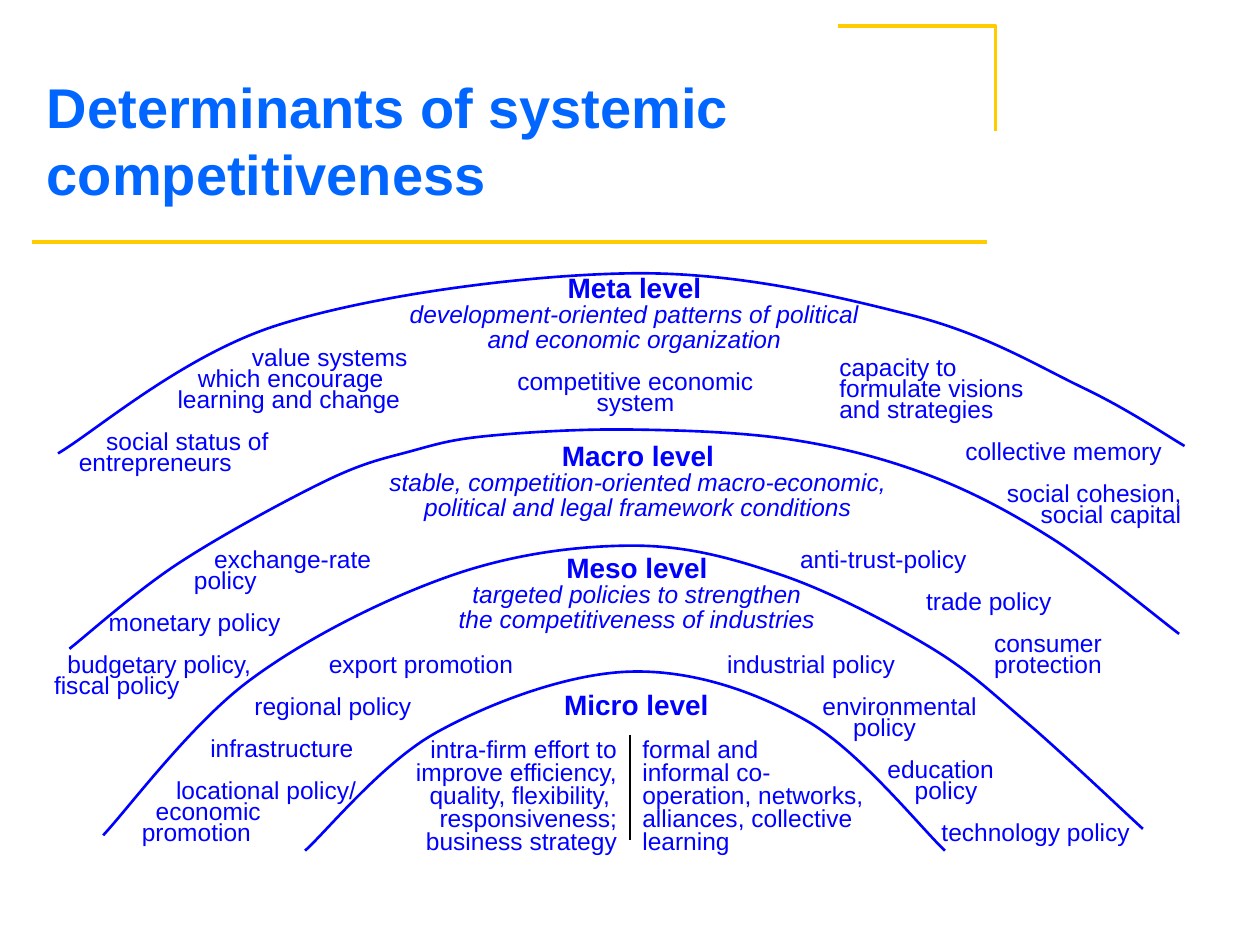
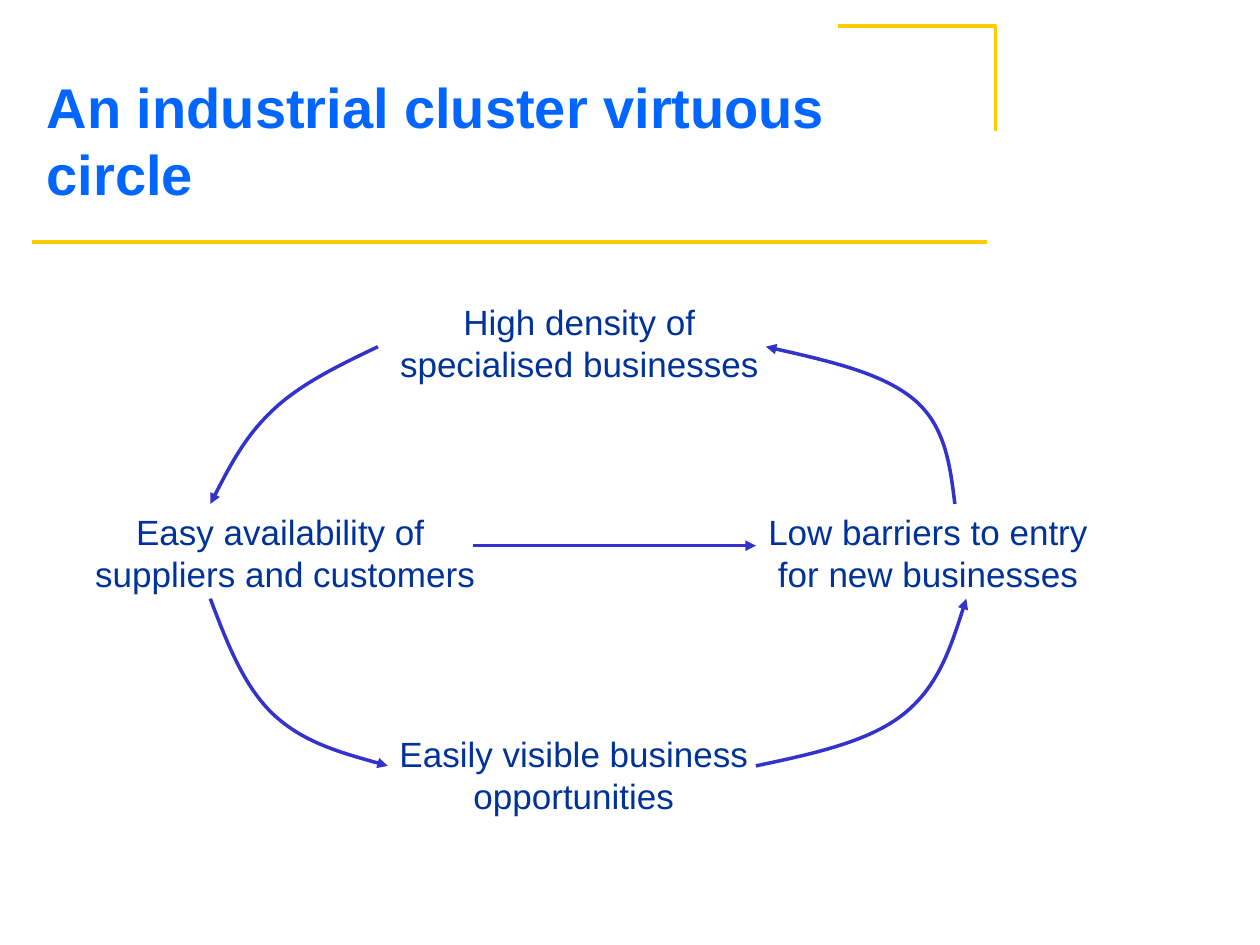
"""Build two slides on systemic competitiveness and industrial clusters."""
from lxml import etree
from pptx import Presentation
from pptx.dml.color import RGBColor
from pptx.enum.shapes import MSO_CONNECTOR
from pptx.enum.text import MSO_ANCHOR, MSO_AUTO_SIZE, PP_ALIGN
from pptx.oxml.ns import qn
from pptx.util import Cm, Pt

LEFT, CENTER, RIGHT = PP_ALIGN.LEFT, PP_ALIGN.CENTER, PP_ALIGN.RIGHT
MIDDLE = MSO_ANCHOR.MIDDLE
NO_FIT = MSO_AUTO_SIZE.NONE
STRAIGHT = MSO_CONNECTOR.STRAIGHT

FONT = "Arial"
TITLE_BLUE = RGBColor(0x00, 0x66, 0xFF)
GOLD = RGBColor(0xFF, 0xCC, 0x00)
BLUE = RGBColor(0x00, 0x00, 0xFF)
NAVY = RGBColor(0x00, 0x33, 0x99)
INDIGO = RGBColor(0x33, 0x33, 0xCC)
BLACK = RGBColor(0x00, 0x00, 0x00)

LEVELS = [
    ("Meta level", ["development-oriented patterns of political",
                    "and economic organization"], 12.79, 5.64,
     [(1.17, 9.14), (5.61, 6.55), (12.7, 5.51), (18.36, 6.35),
      (21.84, 7.82), (23.88, 8.99)]),
    ("Macro level", ["stable, competition-oriented macro-economic,",
                     "political and legal framework conditions"], 12.86, 9.02,
     [(1.4, 13.08), (3.61, 11.35), (6.6, 9.68), (8.31, 9.09), (9.83, 8.79),
      (12.65, 8.66), (15.93, 8.86), (18.72, 9.58), (21.23, 10.87),
      (23.77, 12.78)]),
    ("Meso level", ["targeted policies to strengthen",
                    "the competitiveness of industries"], 12.84, 11.28,
     [(2.08, 16.84), (5, 13.74), (9.02, 11.63), (12.7, 11), (15.72, 11.58),
      (18.72, 13.03), (20.68, 14.55), (23.04, 16.71)]),
    ("Micro level", [], 12.83, 14.05,
     [(6.15, 17.15), (8.81, 14.76), (12.7, 13.54), (16.26, 14.53),
      (19.05, 17.15)]),
]

# Each factor is a group of (indent, line) pairs; groups stand one line apart.
FACTORS = [
    (1.04, 7.06, [[(4.04, "value systems"), (2.95, "which encourage"),
                   (2.54, "learning and change")],
                  [(1.1, "social status of"), (0.55, "entrepreneurs")]]),
    (16.92, 7.26, [[(0, "capacity to"), (0, "formulate visions"),
                    (0, "and strategies")],
                   [(2.54, "collective memory")],
                   [(3.38, "social cohesion,"), (4.06, "social capital")]]),
    (1.09, 11.13, [[(3.23, "exchange-rate"), (2.82, "policy")],
                   [(1.1, "monetary policy")],
                   [(0.27, "budgetary policy,"), (0, "fiscal policy")]]),
    (16.13, 11.13, [[(0, "anti-trust-policy")],
                    [(2.54, "trade policy")],
                    [(3.91, "consumer"), (3.91, "protection")]]),
    (2.59, 13.26, [[(4.04, "export promotion")],
                   [(2.54, "regional policy")],
                   [(1.65, "infrastructure")],
                   [(0.96, "locational policy/"), (0.55, "economic"),
                    (0.27, "promotion")]]),
    (14.66, 13.26, [[(0, "industrial policy")],
                    [(1.92, "environmental"), (2.54, "policy")],
                    [(3.23, "education"), (3.78, "policy")],
                    [(4.32, "technology policy")]]),
]

FIRM_EFFORT = ["intra-firm effort to", "improve efficiency,",
               "quality, flexibility, ", "responsiveness;",
               "business strategy"]
COOPERATION = ["formal and", "informal co-", "operation, networks,",
               "alliances, collective", "learning"]

CLUSTER_STEPS = [
    (11.68, 6.05, ["High density of", "specialised businesses"]),
    (5.75, 10.29, ["Easy availability of ", "suppliers and customers"]),
    (11.57, 14.76, ["Easily visible business", "opportunities"]),
    (18.71, 10.29, ["Low barriers to entry", "for new businesses"]),
]
CLUSTER_ARROWS = [
    [(7.62, 6.99), (5.51, 8.26), (4.24, 10.16)],
    [(4.24, 12.07), (5.51, 14.4), (7.82, 15.44)],
    [(15.24, 15.44), (18.21, 14.4), (19.48, 12.07)],
    [(19.25, 10.16), (18.42, 8.05), (15.44, 6.99)],
]


def format_text(para, text, size=14, color=BLUE, bold=False, italic=False,
                align=LEFT, spacing=None, indent=0, before=0):
    """Write one formatted line of text into a paragraph."""
    para.alignment = align
    para.space_before = Pt(before)
    if spacing:
        para.line_spacing = Pt(spacing)
    if indent:
        para._p.get_or_add_pPr().set("marL", str(Cm(indent)))
    span = para.add_run()
    span.text = text
    font = span.font
    font.name, font.size, font.color.rgb = FONT, Pt(size), color
    font.bold, font.italic = bold, italic


def smooth_handles(knots, relaxed):
    """Return the Bezier points of a smooth curve through the knots."""
    ends = [knots[0], *knots, knots[-1]]
    pulls = [((after[0] - prior[0]) / 6, (after[1] - prior[1]) / 6)
             for prior, after in zip(ends, ends[2:])]
    points = []
    for index, (start, stop) in enumerate(zip(knots, knots[1:])):
        first = (start[0] + pulls[index][0], start[1] + pulls[index][1])
        second = (stop[0] - pulls[index + 1][0], stop[1] - pulls[index + 1][1])
        if relaxed and index == 0:
            first = midpoint(start, second)
        if relaxed and index == len(knots) - 2:
            second = midpoint(first, stop)
        points += [first, second, stop]
    return points


def midpoint(start, stop):
    """Return the point halfway between two points."""
    return (start[0] + stop[0]) / 2, (start[1] + stop[1]) / 2


class Builder:
    """Hold the deck style and the current page, and draw elements on it."""

    def __init__(self):
        self.deck = Presentation()
        self.deck.slide_width, self.deck.slide_height = Cm(25.4), Cm(19.05)
        self.page = None

    def new_page(self, title):
        """Start a page with its title, gold rule and gold corner."""
        self.page = self.deck.slides.add_slide(self.deck.slide_layouts[5])
        box = self.page.shapes.title
        box.left, box.top, box.width, box.height = (
            Cm(0.69), Cm(0.91), Cm(19), Cm(3.81))
        frame = box.text_frame
        frame.auto_size, frame.vertical_anchor = NO_FIT, MIDDLE
        format_text(frame.paragraphs[0], title, size=32, color=TITLE_BLUE,
                    bold=True)
        self.line((0.64, 4.88), (19.89, 4.88), GOLD, 2)
        self.outline([(16.89, 0.53), (20.07, 0.53), (20.07, 2.64)], GOLD, 2)

    def text(self, left, top, width, lines):
        """Add a box of lines, each a text with its format."""
        height = sum(style.get("spacing", 24) + style.get("before", 0)
                     for _, style in lines) * 2.54 / 72
        box = self.page.shapes.add_textbox(Cm(left), Cm(top), Cm(width),
                                           Cm(height))
        frame = box.text_frame
        frame.word_wrap = True
        frame.margin_left = frame.margin_right = Cm(0)
        frame.margin_top = frame.margin_bottom = Cm(0)
        for index, (text, style) in enumerate(lines):
            para = frame.add_paragraph() if index else frame.paragraphs[0]
            format_text(para, text, **style)

    def centered(self, center, top, width, lines):
        """Add a box of centred lines around a vertical axis."""
        self.text(center - width / 2, top, width,
                  [(text, {**style, "align": CENTER}) for text, style in lines])

    def stroke(self, shape, color, weight, arrow):
        """Format a line, with an arrowhead at its end if asked."""
        shape.line.color.rgb, shape.line.width = color, Pt(weight)
        if arrow:
            outline = shape.line._get_or_add_ln()
            etree.SubElement(outline, qn("a:tailEnd"), type="triangle")

    def line(self, start, stop, color, weight, arrow=False):
        """Add a straight line."""
        line = self.page.shapes.add_connector(
            STRAIGHT, *(Cm(value) for value in (*start, *stop)))
        self.stroke(line, color, weight, arrow)
        etree.SubElement(line._element.spPr, qn("a:effectLst"))

    def outline(self, points, color, weight, arrow=False):
        """Add an open, unfilled outline through points."""
        (left, top), *rest = [(Cm(x), Cm(y)) for x, y in points]
        builder = self.page.shapes.build_freeform(left, top)
        builder.add_line_segments(rest, close=False)
        shape = builder.convert_to_shape()
        shape.fill.background()
        self.stroke(shape, color, weight, arrow)
        shape.shadow.inherit = False
        return shape

    def curve(self, knots, color, weight, arrow=False, relaxed=False):
        """Add a smooth curve through knots."""
        points = [knots[0], *smooth_handles(knots, relaxed)]
        shape = self.outline(points, color, weight, arrow)
        route = next(shape._element.iter(qn("a:path")))
        steps = route.findall(qn("a:lnTo"))
        for index in range(0, len(steps), 3):
            bend = etree.SubElement(route, qn("a:cubicBezTo"))
            for step in steps[index:index + 3]:
                bend.append(step[0])
                route.remove(step)


def determinants_page(builder):
    """Draw the four nested levels and their factors."""
    builder.new_page("Determinants of systemic competitiveness")
    for name, summary, center, top, knots in LEVELS:
        builder.curve(knots, BLUE, 1.5)
        lines = [(name, {"size": 16, "bold": True, "spacing": 14})]
        lines += [(text, {"italic": True, "spacing": 14}) for text in summary]
        builder.centered(center, top, 11.2, lines)
    for left, top, groups in FACTORS:
        lines = []
        for group in groups:
            for index, (indent, text) in enumerate(group):
                gap = 12 if lines and index == 0 else 0
                lines.append((text, {"spacing": 12, "indent": indent,
                                     "before": gap}))
        builder.text(left, top, 8.2, lines)
    builder.centered(12.81, 7.54, 5.2, [
        (text, {"spacing": 12}) for text in ("competitive economic", "system")])
    builder.line((12.7, 14.81), (12.7, 16.94), BLACK, 0.75)
    for left, align, texts in ((4.06, RIGHT, FIRM_EFFORT),
                               (12.95, LEFT, COOPERATION)):
        builder.text(left, 14.94, 8.38, [
            (text, {"spacing": 13, "align": align}) for text in texts])


def cluster_page(builder):
    """Draw the circle of four steps and its arrows."""
    builder.new_page("An industrial cluster virtuous circle")
    for center, top, texts in CLUSTER_STEPS:
        builder.centered(center, top, 8.4, [
            (text, {"size": 20, "color": NAVY}) for text in texts])
    for knots in CLUSTER_ARROWS:
        builder.curve(knots, INDIGO, 2, arrow=True, relaxed=True)
    builder.line((9.53, 11), (15.24, 11), INDIGO, 2, arrow=True)


def main():
    """Build and save the deck."""
    builder = Builder()
    determinants_page(builder)
    cluster_page(builder)
    builder.deck.save("out.pptx")


if __name__ == "__main__":
    main()
